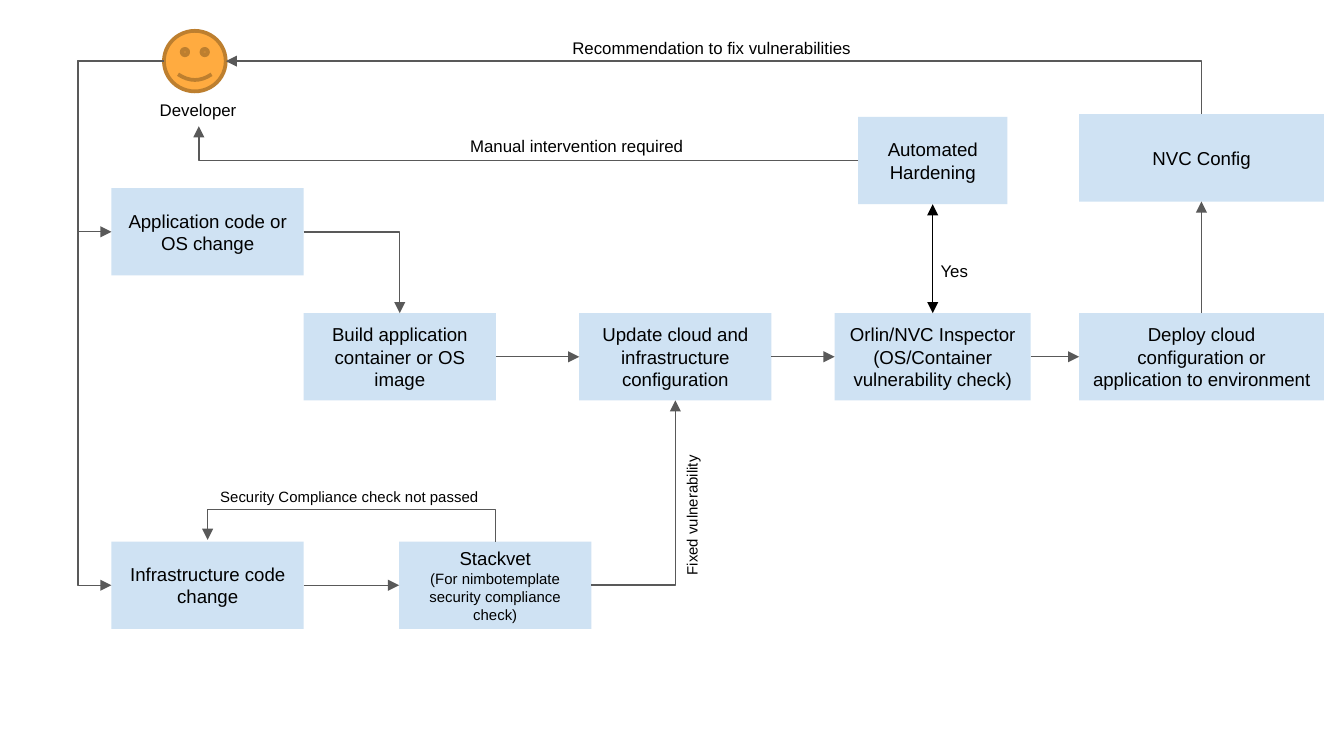
import dataclasses

import lxml.etree
import pptx
import pptx.dml.color
import pptx.enum.shapes
import pptx.enum.text
import pptx.oxml.ns
import pptx.util

COLORS = {"card": "CFE2F3", "text": "000000", "flow": "595959",
          "face": "FFAB40", "face_line": "BD7F2F"}
CELL = 0.1  # inches; the slide is a grid of 100 columns by 56.2 rows
CARD_WIDTH, CARD_HEIGHT = 14.3, 6.5
SHAPES = pptx.enum.shapes.MSO_SHAPE
CONNECTORS = pptx.enum.shapes.MSO_CONNECTOR
ALIGN = pptx.enum.text.PP_ALIGN


@dataclasses.dataclass
class Box:
    """A rectangle in grid cells."""
    left: float
    top: float
    width: float
    height: float

    def at(self, across, down):
        """Return the point at the given shares of width and height."""
        return self.left + across * self.width, self.top + down * self.height

    def inner(self, column, row, width=CARD_WIDTH, height=CARD_HEIGHT):
        """Return a box placed relative to this one."""
        return Box(self.left + column, self.top + row, width, height)

    def lengths(self):
        """Return left, top, width and height as slide lengths."""
        return [cells(v) for v in (self.left, self.top, self.width, self.height)]


def cells(count):
    """Convert grid cells to a slide length."""
    return pptx.util.Inches(count * CELL)


def rgb(name):
    """Look up a colour."""
    return pptx.dml.color.RGBColor.from_string(COLORS[name])


def write(frame, lines, sizes=(10,), align=ALIGN.CENTER, color="text", font="Arial"):
    """Write one paragraph per line; the last size serves any further lines."""
    for index, line in enumerate(lines):
        para = frame.paragraphs[0] if index == 0 else frame.add_paragraph()
        para.alignment = align
        span = para.add_run()
        span.text = line
        span.font.name = font
        span.font.size = pptx.util.Pt(sizes[min(index, len(sizes) - 1)])
        span.font.color.rgb = rgb(color)


def card(page, box, *lines, **text_format):
    """Draw a process step and return its box."""
    shape = page.shapes.add_shape(SHAPES.RECTANGLE, *box.lengths())
    shape.shadow.inherit = False
    shape.fill.solid()
    shape.fill.fore_color.rgb = rgb("card")
    shape.line.fill.background()
    frame = shape.text_frame
    frame.word_wrap = True
    frame.vertical_anchor = pptx.enum.text.MSO_ANCHOR.MIDDLE
    frame.margin_left = frame.margin_right = cells(1)
    frame.margin_top = frame.margin_bottom = cells(1)
    write(frame, lines, **text_format)
    return box


def label(page, box, text, size=9, rotation=0):
    """Place a one-line caption."""
    shape = page.shapes.add_textbox(*box.lengths())
    shape.rotation = rotation
    shape.text_frame.word_wrap = False
    shape.text_frame.auto_size = pptx.enum.text.MSO_AUTO_SIZE.SHAPE_TO_FIT_TEXT
    write(shape.text_frame, [text], sizes=(size,), align=ALIGN.LEFT)


def finish_line(line, color, ends):
    """Set colour, width and arrowheads, and remove the shadow."""
    line.line.color.rgb = rgb(color)
    line.line.width = pptx.util.Pt(0.75)
    for end in ends:
        tag = pptx.oxml.ns.qn("a:" + end)
        lxml.etree.SubElement(line.line._get_or_add_ln(), tag, type="triangle")
    lxml.etree.SubElement(line._element.spPr, pptx.oxml.ns.qn("a:effectLst"))


def flow(page, start, end, upright=False, corner=False, bend=None):
    """Draw a bent arrow.

    upright: leave vertically; corner: turn only once;
    bend: column (or row, if upright) of the middle leg.
    """
    (x1, y1), (x2, y2) = start, end
    if upright:  # the frame lies on its side and is turned by 270 degrees
        middle_x, middle_y = (x1 + x2) / 2, (y1 + y2) / 2
        half_x, half_y = (y1 - y2) / 2, (x2 - x1) / 2
        ends = (middle_x - half_x, middle_y - half_y, middle_x + half_x, middle_y + half_y)
    else:
        ends = (x1, y1, x2, y2)
    line = page.shapes.add_connector(CONNECTORS.ELBOW, *map(cells, ends))
    properties = line._element.spPr
    if upright:
        properties.find(pptx.oxml.ns.qn("a:xfrm")).set("rot", "16200000")
    shape = properties.find(pptx.oxml.ns.qn("a:prstGeom"))
    if corner:
        shape.set("prst", "bentConnector2")
    elif bend is not None:
        first, last = (y1, y2) if upright else (x1, x2)
        share = round((bend - first) / (last - first) * 100000)
        guides = shape.find(pptx.oxml.ns.qn("a:avLst"))
        lxml.etree.SubElement(guides, pptx.oxml.ns.qn("a:gd"), name="adj1", fmla=f"val {share}")
    finish_line(line, "flow", ["tailEnd"])


def pipeline(page, area):
    """Draw the row from build to deployment and return its steps."""
    steps = [
        card(page, area.inner(0, 0), "Build application container or OS image"),
        card(page, area.inner(20.5, 0), "Update cloud and infrastructure configuration"),
        card(page, area.inner(39.5, 0, 14.6), "Orlin/NVC Inspector",
             "(OS/Container vulnerability check)"),
        card(page, area.inner(57.7, 0, 18.2),
             "Deploy cloud configuration or application to environment"),
    ]
    for before, after in zip(steps, steps[1:]):
        flow(page, before.at(1, 0.5), after.at(0, 0.5))
    return steps


def code_changes(page, area):
    """Draw the two kinds of change and the compliance check."""
    application = card(page, area.inner(0, 0), "Application code or OS change")
    infrastructure = card(page, area.inner(0, 26.3), "Infrastructure code change")
    check = card(page, area.inner(21.4, 26.3), "Stackvet",
                 "(For nimbotemplate security compliance check)", sizes=(10, 8))
    flow(page, infrastructure.at(1, 0.5), check.at(0, 0.5))
    flow(page, check.at(0.5, 0), infrastructure.at(0.5, -0.02),
         upright=True, bend=area.top + 23.9)
    label(page, area.inner(7.1, 21.8, 21.8, 2.4), "Security Compliance check not passed", size=8)
    return application, infrastructure, check


def developer(page, area):
    """Draw the developer's face and caption; return the face box."""
    face = area.inner(1.3, 0, 4.6, 4.5)
    shape = page.shapes.add_shape(SHAPES.SMILEY_FACE, *face.lengths())
    shape.shadow.inherit = False
    shape.fill.solid()
    shape.fill.fore_color.rgb = rgb("face")
    shape.line.color.rgb = rgb("face_line")
    shape.line.width = pptx.util.Pt(2)
    label(page, area.inner(0, 4.6, 7.8, 2.5), "Developer")
    return face


def feedback(page, area, face, inspector, deploy):
    """Draw the checks above the pipeline and their way back to the developer."""
    hardening = card(page, area.inner(0.05, 0.2, 11.1), "Automated Hardening")
    config = card(page, area.inner(16.5, 0, 18.2), "NVC Config")
    flow(page, deploy.at(0.5, 0), config.at(0.5, 1), upright=True)
    flow(page, config.at(0.5, 0), face.at(1, 0.5), upright=True, corner=True)
    flow(page, hardening.at(0, 0.5), (14.8, area.top + 0.9), corner=True)
    points = (*hardening.at(0.5, 1), *inspector.at(0.5, 0))
    line = page.shapes.add_connector(CONNECTORS.STRAIGHT, *map(cells, points))
    finish_line(line, "text", ["headEnd", "tailEnd"])
    label(page, area.inner(5.2, 10.4, 4.2, 2.5), "Yes")
    label(page, area.inner(-22.2, -6.2, 22.9, 2.5), "Recommendation to fix vulnerabilities")
    label(page, area.inner(-29.8, 1.1, 18.4, 2.5), "Manual intervention required")


def main():
    """Build and save the deck."""
    deck = pptx.Presentation()
    deck.slide_width, deck.slide_height = cells(100), cells(56.25)
    page = deck.slides.add_slide(deck.slide_layouts[6])
    build, update, inspector, deploy = pipeline(page, Box(22.6, 23.3, 75.9, 6.5))
    application, infrastructure, check = code_changes(page, Box(8.3, 14, 35.7, 32.8))
    face = developer(page, Box(10.9, 2.3, 7.8, 7.1))
    feedback(page, Box(63.8, 8.5, 34.7, 6.7), face, inspector, deploy)
    flow(page, application.at(1, 0.5), build.at(0.5, 0), corner=True)
    flow(page, check.at(1, 0.5), update.at(0.5, 1), corner=True)
    label(page, Box(46, 37.1, 11, 2.4), "Fixed vulnerability", size=8, rotation=270)
    for change in (application, infrastructure):
        flow(page, face.at(0, 0.5), change.at(0, 0.5), bend=5.8)
    deck.save("out.pptx")


main()
